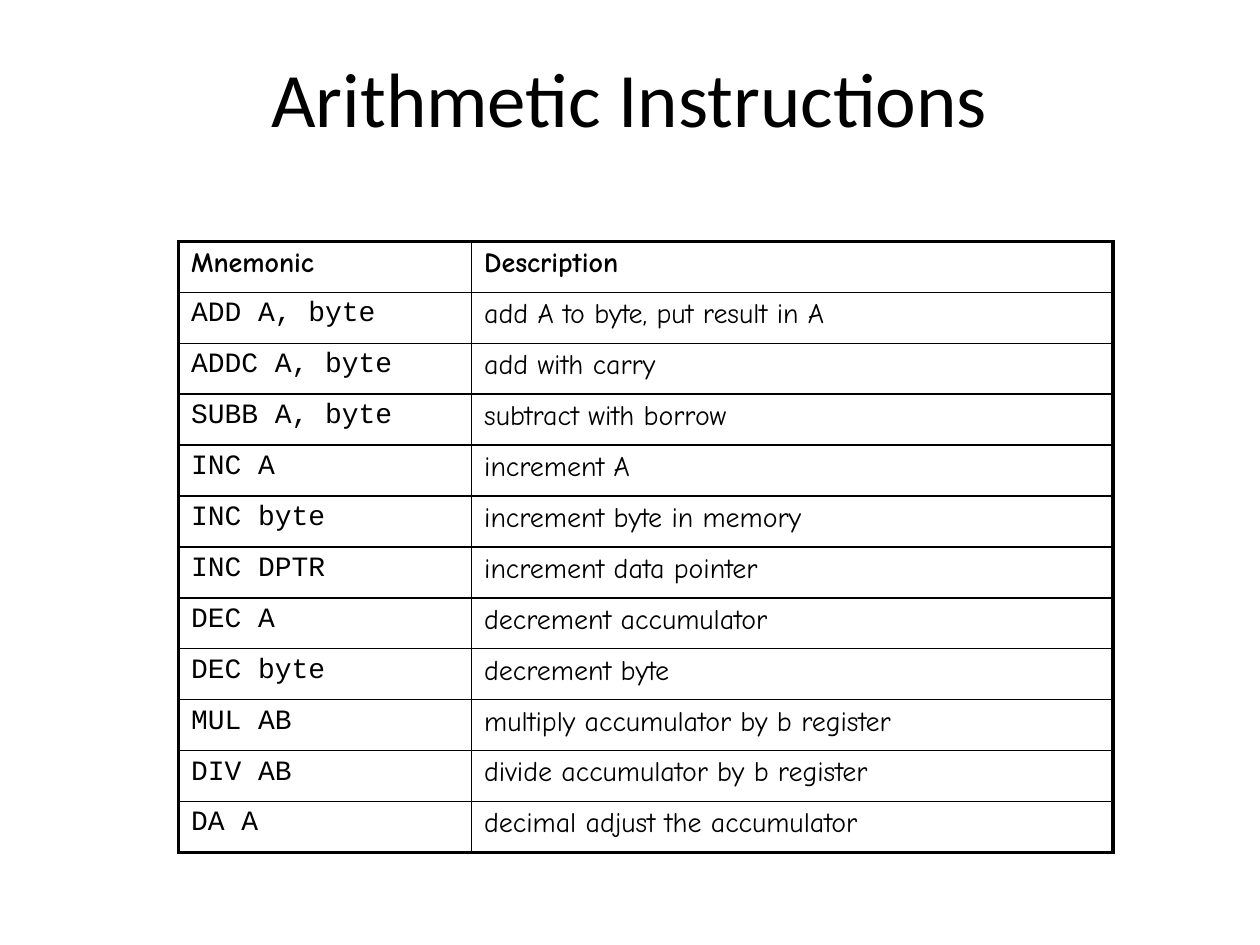
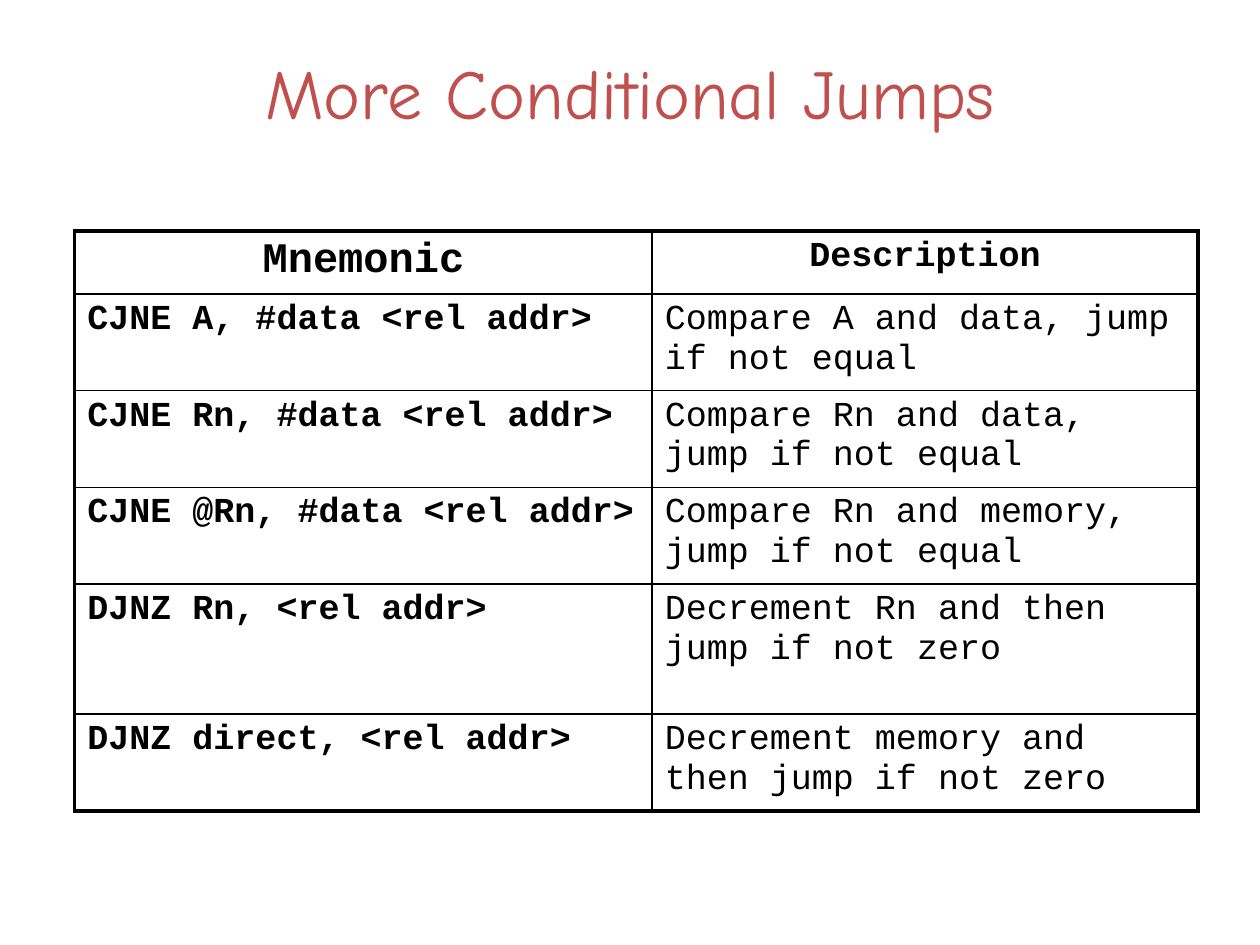
"""Build two slides of instruction tables for a microcontroller."""
from dataclasses import dataclass

from lxml.etree import SubElement
from pptx import Presentation
from pptx.dml.color import RGBColor
from pptx.enum.text import MSO_ANCHOR as Anchor, PP_ALIGN as Align
from pptx.oxml.ns import qn
from pptx.util import Pt


@dataclass(frozen=True)
class Theme:
    """Colours, fonts, type sizes and line widths of the slides."""
    ink: str = "000000"
    accent: str = "C0504D"
    plain: str = "Calibri"
    comic: str = "Comic Neue"
    code: str = "Courier New"
    title: int = 44
    title_small: int = 40
    heading: int = 24
    large: int = 20
    body: int = 16
    frame: float = 2.25
    rule: float = 1


THEME = Theme()

ARITHMETIC = [
    ("Mnemonic", "Description"),
    ("ADD A, byte", "add A to byte, put result in A"),
    ("ADDC A, byte", "add with carry"),
    ("SUBB A, byte", "subtract with borrow"),
    ("INC A", "increment A"),
    ("INC byte", "increment byte in memory"),
    ("INC DPTR", "increment data pointer"),
    ("DEC A", "decrement accumulator"),
    ("DEC byte", "decrement byte"),
    ("MUL AB", "multiply accumulator by b register"),
    ("DIV AB", "divide accumulator by b register"),
    ("DA A", "decimal adjust the accumulator"),
]

JUMPS = [
    ("Mnemonic", "Description"),
    ("CJNE A, #data <rel addr>", "Compare A and data, jump if not equal"),
    ("CJNE Rn, #data <rel addr>", "Compare Rn and data, jump if not equal"),
    ("CJNE @Rn, #data <rel addr>", "Compare Rn and memory, jump if not equal"),
    ("DJNZ Rn, <rel addr>", "Decrement Rn and then jump if not zero"),
    ("DJNZ direct, <rel addr>", "Decrement memory and then jump if not zero"),
]


def write(frame, text, *, font, size, color=THEME.ink, bold=False, align=Align.LEFT):
    """Put formatted text in the first paragraph of a text frame."""
    paragraph = frame.paragraphs[0]
    paragraph.alignment = align
    run = paragraph.add_run()
    run.text = text
    run.font.name = font
    run.font.size = Pt(size)
    run.font.bold = bold
    run.font.color.rgb = RGBColor.from_string(color)


class Deck:
    """Hold the style and the current slide, and draw elements on it."""

    def __init__(self, theme):
        """Start an empty 10 by 7.5 inch presentation."""
        self.theme = theme
        self.show = Presentation()
        self.show.slide_width, self.show.slide_height = Pt(720), Pt(540)
        self.slide = None

    def new_slide(self):
        """Add a blank slide and make it current."""
        self.slide = self.show.slides.add_slide(self.show.slide_layouts[6])

    def title(self, text, height, **style):
        """Write the centred title."""
        box = self.slide.shapes.add_textbox(Pt(36), Pt(21.6), Pt(648), Pt(height))
        frame = box.text_frame
        frame.word_wrap = True
        frame.vertical_anchor = Anchor.TOP
        frame.margin_top = Pt(7)
        write(frame, text, align=Align.CENTER, **style)

    def borders(self, cell, widths):
        """Rule the left, right, top and bottom sides of a cell."""
        properties = cell._tc.get_or_add_tcPr()
        for side, width in zip("LRTB", widths):
            line = SubElement(properties, qn(f"a:ln{side}"), w=str(Pt(width)))
            fill = SubElement(line, qn("a:solidFill"))
            SubElement(fill, qn("a:srgbClr"), val=self.theme.ink)

    def table(self, rows, left, top, widths, heights, style_at):
        """Draw a framed table; style_at gives the text format of a row and column."""
        grid = self.slide.shapes.add_table(
            len(rows), len(widths), Pt(left), Pt(top), Pt(sum(widths)), Pt(sum(heights))
        ).table
        grid.first_row = grid.horz_banding = False
        for column, width in zip(grid.columns, widths):
            column.width = Pt(width)
        last_row, last_column = len(rows) - 1, len(widths) - 1
        for r, (texts, height) in enumerate(zip(rows, heights)):
            grid.rows[r].height = Pt(height)
            for c, text in enumerate(texts):
                cell = grid.cell(r, c)
                outer = (c == 0, c == last_column, r == 0, r == last_row)
                self.borders(cell, [self.theme.frame if edge else self.theme.rule for edge in outer])
                cell.fill.background()
                write(cell.text_frame, text, **style_at(r, c))


def arithmetic_style(row, column):
    """Format code in the first column and comic text elsewhere."""
    is_code = row > 0 and column == 0
    return dict(font=THEME.code if is_code else THEME.comic, size=THEME.body, bold=row == 0)


def jump_style(row, column):
    """Format centred headings, bold mnemonics and plain descriptions."""
    return dict(
        font=THEME.code,
        size=THEME.heading if row == column == 0 else THEME.large,
        bold=row == 0 or column == 0,
        align=Align.CENTER if row == 0 else Align.LEFT,
    )


def main():
    """Build both slides and save them."""
    deck = Deck(THEME)

    deck.new_slide()
    deck.title("Arithmetic Instructions", 90, font=THEME.plain, size=THEME.title)
    deck.table(ARITHMETIC, 102, 138, (167.5, 366.5), [29.1] * len(ARITHMETIC), arithmetic_style)

    deck.new_slide()
    deck.title("More Conditional Jumps", 55.4, font=THEME.comic,
               size=THEME.title_small, color=THEME.accent)
    deck.table(JUMPS, 42.7, 132, (330, 312), [35.4, 52.6, 52.6, 52.6, 74.3, 52.6], jump_style)

    deck.show.save("out.pptx")


if __name__ == "__main__":
    main()
